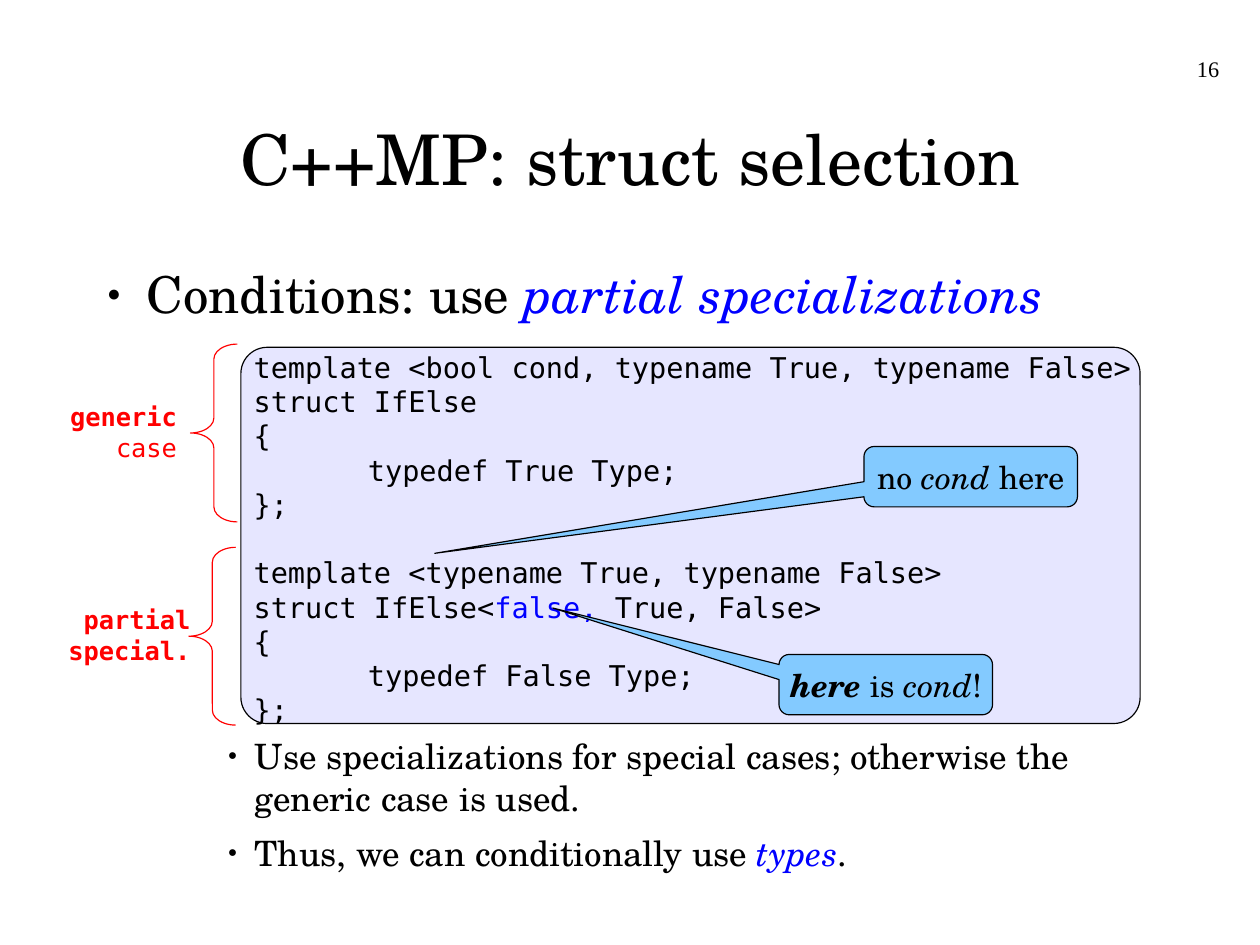
from collections import namedtuple

from lxml.etree import SubElement
from pptx import Presentation
from pptx.dml.color import RGBColor
from pptx.enum.shapes import MSO_SHAPE
from pptx.enum.text import MSO_ANCHOR, PP_ALIGN
from pptx.oxml.ns import qn
from pptx.util import Pt

COLORS = {"ink": "000000", "accent": "0000FF", "label": "FF0000",
          "panel": "E6E6FF", "callout": "83CAFF"}
SERIF, MONO = "TeX Gyre Schola", "DejaVu Sans Mono"
ITALIC = {"italic": True}
BLUE = {"color": "accent"}
BLUE_ITALIC = {**BLUE, **ITALIC}

Box = namedtuple("Box", "left top width height")


def inside(box, left, top, width, height):
    """Return a box placed relative to the corner of another."""
    return Box(box.left + left, box.top + top, width, height)


def lengths(box):
    """Turn the sides of a box into point lengths."""
    return [Pt(side) for side in box]


def color(name):
    """Look up a named colour."""
    return RGBColor.from_string(COLORS[name])


def set_frame(frame, anchor=MSO_ANCHOR.TOP, wrap=True):
    """Remove the margins and set anchor and wrapping."""
    values = {"margin_left": 0, "margin_top": 0, "margin_right": 0,
              "margin_bottom": 0, "vertical_anchor": anchor, "word_wrap": wrap}
    for name, value in values.items():
        setattr(frame, name, value)


def add_spans(para, spans, base):
    """Write runs; each is a string or a (string, format) pair."""
    for item in spans:
        text, extra = (item, {}) if isinstance(item, str) else item
        span = para.add_run()
        span.text = text
        values = {"color": "ink", **base, **extra}
        span.font.color.rgb = color(values.pop("color"))
        for name, value in values.items():
            setattr(span.font, name, value)


def set_indent(para, left, hanging=0):
    """Set the left indent and the hanging first line."""
    properties = para._p.get_or_add_pPr()
    properties.set("marL", str(Pt(left)))
    properties.set("indent", str(-Pt(hanging)))


def set_bullet(para, left, hanging):
    """Give a paragraph a small round bullet."""
    set_indent(para, left, hanging)
    properties = para._p.get_or_add_pPr()
    tint = SubElement(properties, qn("a:buClr"))
    SubElement(tint, qn("a:srgbClr"), val=COLORS["ink"])
    SubElement(properties, qn("a:buSzPct"), val="45000")
    SubElement(properties, qn("a:buFont"), typeface="Arial")
    SubElement(properties, qn("a:buChar"), char="●")


def fill_frame(frame, lines, base, align=PP_ALIGN.LEFT, after=0):
    """Write one paragraph per line and return the paragraphs."""
    paras = []
    for index, spans in enumerate(lines):
        para = frame.add_paragraph() if index else frame.paragraphs[0]
        para.alignment = align
        para.space_after = Pt(after)
        add_spans(para, spans, base)
        paras.append(para)
    return paras


def add_text(page, box, lines, base, align=PP_ALIGN.LEFT,
             anchor=MSO_ANCHOR.TOP, after=0):
    """Add a text box and return its paragraphs."""
    frame = page.shapes.add_textbox(*lengths(box)).text_frame
    set_frame(frame, anchor)
    return fill_frame(frame, lines, base, align, after)


def add_outline(page, kind, box, fill, line, adjustments):
    """Add a preset shape with a hairline outline."""
    shape = page.shapes.add_shape(kind, *lengths(box))
    shape.shadow.inherit = False
    if fill:
        shape.fill.solid()
        shape.fill.fore_color.rgb = color(fill)
    else:
        shape.fill.background()
    shape.line.color.rgb = color(line)
    shape.line.width = Pt(0)
    for index, value in enumerate(adjustments):
        shape.adjustments[index] = value
    return shape


def add_header(page, box):
    """Add the page number and the centred title."""
    add_text(page, inside(box, 525, 0, 184.5, 41), [["16"]],
             {"name": "Times New Roman", "size": Pt(14)}, PP_ALIGN.RIGHT)
    add_text(page, inside(box, 0, 14.5, box.width, 99),
             [["C++MP: struct selection"]], {"name": SERIF, "size": Pt(44)},
             PP_ALIGN.CENTER, MSO_ANCHOR.MIDDLE)


def add_bullets(page, box, lines, size, left, hanging, after):
    """Add a bulleted list."""
    for para in add_text(page, box, lines, {"name": SERIF, "size": Pt(size)},
                         after=after):
        set_bullet(para, left, hanging)


def struct_lines(template, name, result):
    """Return the code lines of one struct."""
    return [[template], name, ["{"], [f"typedef {result} Type;"], ["};"]]


def add_code(page, box):
    """Add the rounded panel with the two structs."""
    add_outline(page, MSO_SHAPE.ROUNDED_RECTANGLE, box, "panel", "ink", [0.07])
    generic = struct_lines("template <bool cond, typename True, typename False>",
                           ["struct IfElse"], "True")
    partial = struct_lines("template <typename True, typename False>",
                           ["struct IfElse<", ("false, ", BLUE), "True, False>"],
                           "False")
    paras = add_text(page, inside(box, 8, 1.5, box.width - 4, box.height - 7),
                     generic + partial, {"name": MONO, "size": Pt(18)})
    for struct in (paras[:5], paras[5:]):
        set_indent(struct[3], 72)
    paras[5].space_before = Pt(21.5)


def add_brace(page, box, lines, label_right):
    """Add a brace with a right-aligned label beside it."""
    add_outline(page, MSO_SHAPE.LEFT_BRACE, box, None, "label", [0.32, 0.5])
    label = Box(label_right - 90, box.top + 36, 90, 38)
    add_text(page, label, lines,
             {"name": MONO, "size": Pt(16), "color": "label"}, PP_ALIGN.RIGHT)


def add_callout(page, box, spans, tip):
    """Add a rounded callout; tip is relative to its centre and size."""
    callout = add_outline(page, MSO_SHAPE.ROUNDED_RECTANGULAR_CALLOUT, box,
                          "callout", "ink", [*tip, 0.17])
    set_frame(callout.text_frame, MSO_ANCHOR.MIDDLE, False)
    fill_frame(callout.text_frame, [spans], {"name": SERIF, "size": Pt(20)},
               PP_ALIGN.CENTER)


def main():
    """Build the slide and save it."""
    deck = Presentation()
    deck.slide_width, deck.slide_height = Pt(793.75), Pt(595.25)
    page = deck.slides.add_slide(deck.slide_layouts[6])
    bold = {"bold": True}
    code = Box(151.75, 218.75, 566.5, 237)

    add_header(page, Box(58.5, 35, 677.5, 114))
    add_code(page, code)
    add_bullets(page, Box(58.5, 165.5, 672, 40),
                [["Conditions: use ", ("partial specializations", BLUE_ITALIC)]],
                32, 34, 25, 14.2)
    add_bullets(page, Box(58.5, 462.5, 672, 92),
                [["Use specializations for special cases; "
                  "otherwise the generic case is used."],
                 ["Thus, we can conditionally use ", ("types", BLUE_ITALIC), "."]],
                22, 102, 17, 8.5)

    add_brace(page, inside(code, -31.75, -2, 29.5, 112),
              [[("generic", bold)], ["case"]], 111.5)
    add_brace(page, inside(code, -32.75, 126, 29.5, 112),
              [[("partial", bold)], [("special.", bold)]], 120)
    add_callout(page, inside(code, 392.5, 62.5, 134.5, 38),
                ["no ", ("cond ", ITALIC), "here"], (-2.51, 1.27))
    add_callout(page, inside(code, 339, 193.5, 134.5, 38),
                [("here", {**bold, **ITALIC}), " is ", ("cond", ITALIC), "!"],
                (-1.56, -1.27))
    deck.save("out.pptx")


main()
